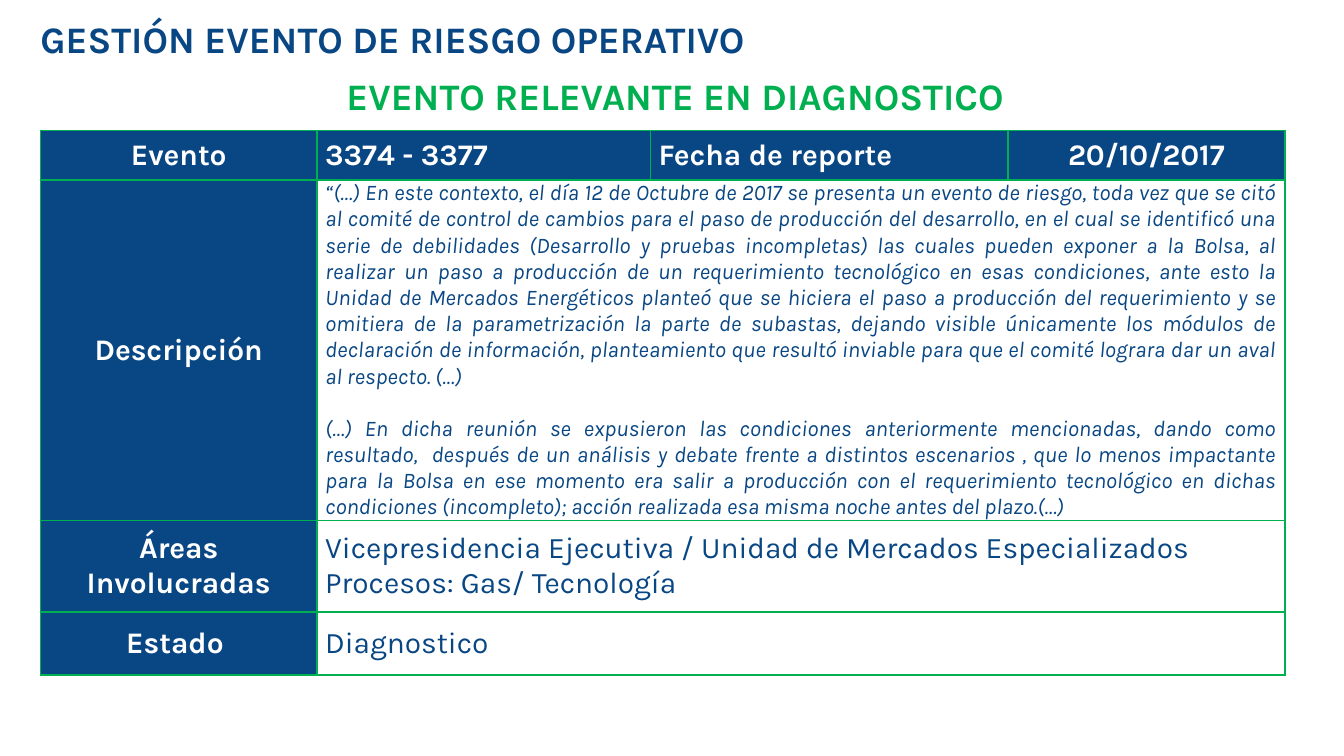
"""Build the slide on an operational risk event under diagnosis."""
from lxml.etree import SubElement
from pptx import Presentation
from pptx.dml.color import RGBColor
from pptx.enum.text import MSO_ANCHOR, MSO_AUTO_SIZE, PP_ALIGN
from pptx.oxml.ns import qn
from pptx.util import Inches, Pt

FONT, NAVY, GREEN, WHITE = "Karla", "094784", "00B050", "FFFFFF"
LEFT, CENTER, JUSTIFY = PP_ALIGN.LEFT, PP_ALIGN.CENTER, PP_ALIGN.JUSTIFY

TITLE = "GESTIÓN EVENTO DE RIESGO OPERATIVO"
SUBTITLE = "EVENTO RELEVANTE EN DIAGNOSTICO "
HEADER = [("Evento", CENTER), ("3374 - 3377", LEFT),
          ("Fecha de reporte", LEFT), ("20/10/2017", CENTER)]
DESCRIPTION = [
    "“(…) En este contexto, el día 12 de Octubre de 2017 se presenta un evento de riesgo, "
    "toda vez que se citó al comité de control de cambios para el paso de producción del "
    "desarrollo, en el cual se identificó una serie de debilidades (Desarrollo y pruebas "
    "incompletas) las cuales pueden exponer a la Bolsa, al realizar un paso a producción de "
    "un requerimiento tecnológico en esas condiciones, ante esto la Unidad de Mercados "
    "Energéticos planteó que se hiciera el paso a producción del requerimiento y se omitiera "
    "de la parametrización la parte de subastas, dejando visible únicamente los módulos de "
    "declaración de información, planteamiento que resultó inviable para que el comité "
    "lograra dar un aval al respecto. (…)",
    "(…) En dicha reunión se expusieron las condiciones anteriormente mencionadas, dando como "
    "resultado,  después de un análisis y debate frente a distintos escenarios , que lo menos "
    "impactante para la Bolsa en ese momento era salir a producción con el requerimiento "
    "tecnológico en dichas condiciones (incompleto); acción realizada esa misma noche antes "
    "del plazo.(…)",
]
DETAILS = [
    ("Descripción", DESCRIPTION, dict(size=12, italic=True, align=JUSTIFY, gap=14)),
    ("Áreas Involucradas",
     ["Vicepresidencia Ejecutiva / Unidad de Mercados Especializados",
      "Procesos: Gas/ Tecnología"], {}),
    ("Estado ", ["Diagnostico"], {}),
]
COL_WIDTHS = [2.06, 2.48, 2.66, 2.06]
ROW_HEIGHTS = [0.37, 2.53, 0.68, 0.47]


def rgb(value):
    return RGBColor.from_string(value)


def write(tf, texts, color, size=16, bold=False, italic=False, align=LEFT, gap=0, spacing=None):
    for i, text in enumerate(texts):
        p = tf.add_paragraph() if i else tf.paragraphs[0]
        p.alignment = align
        p.line_spacing = spacing
        p.space_before = Pt(gap if i else 0)
        r = p.add_run()
        r.text = text
        r.font.name, r.font.size = FONT, Pt(size)
        r.font.bold, r.font.italic = bold, italic
        r.font.color.rgb = rgb(color)


def write_heading(sp, box, text, color, align, spacing):
    sp.left, sp.top, sp.width, sp.height = map(Inches, box)
    tf = sp.text_frame
    tf.word_wrap = True
    tf.auto_size = MSO_AUTO_SIZE.NONE
    tf.vertical_anchor = MSO_ANCHOR.TOP
    tf.margin_left = tf.margin_right = tf.margin_top = tf.margin_bottom = 0
    write(tf, [text], color, size=20, bold=True, align=align, spacing=spacing)


def style_cell(cell, filled):
    cell.margin_left = cell.margin_right = Inches(0.06)
    cell.margin_top = cell.margin_bottom = 0
    cell.vertical_anchor = MSO_ANCHOR.MIDDLE
    tcPr = cell._tc.get_or_add_tcPr()
    for side in ("lnL", "lnR", "lnT", "lnB"):
        ln = SubElement(tcPr, qn(f"a:{side}"), w=str(Pt(1)))
        SubElement(SubElement(ln, qn("a:solidFill")), qn("a:srgbClr"), val=GREEN)
    if filled:
        cell.fill.solid()
        cell.fill.fore_color.rgb = rgb(NAVY)
    else:
        cell.fill.background()


def add_event_table(s):
    table = s.shapes.add_table(len(ROW_HEIGHTS), len(COL_WIDTHS), Inches(0.3), Inches(0.97),
                               Inches(sum(COL_WIDTHS)), Inches(sum(ROW_HEIGHTS))).table
    for col, width in zip(table.columns, COL_WIDTHS):
        col.width = Inches(width)
    for i, (row, height) in enumerate(zip(table.rows, ROW_HEIGHTS)):
        row.height = Inches(height)
        for j, cell in enumerate(row.cells):
            style_cell(cell, filled=i == 0 or j == 0)
    for j, (text, align) in enumerate(HEADER):
        write(table.cell(0, j).text_frame, [text], WHITE, bold=True, align=align)
    for i, (label, texts, style) in enumerate(DETAILS, 1):
        write(table.cell(i, 0).text_frame, [label], WHITE, bold=True, align=CENTER)
        table.cell(i, 1).merge(table.cell(i, 3))
        write(table.cell(i, 1).text_frame, texts, NAVY, **style)


def main():
    prs = Presentation()
    prs.slide_width, prs.slide_height = Inches(10), Inches(10 * 9 / 16)
    s = prs.slides.add_slide(prs.slide_layouts[5])
    write_heading(s.shapes.title, (0.3, 0.17, 6.26, 0.49), TITLE, NAVY, LEFT, 0.85)
    subtitle = s.shapes.add_textbox(0, 0, 0, 0)
    write_heading(subtitle, (1.86, 0.48, 6.4, 0.38), SUBTITLE, GREEN, CENTER, 1.2)
    add_event_table(s)
    prs.save("out.pptx")


if __name__ == "__main__":
    main()
